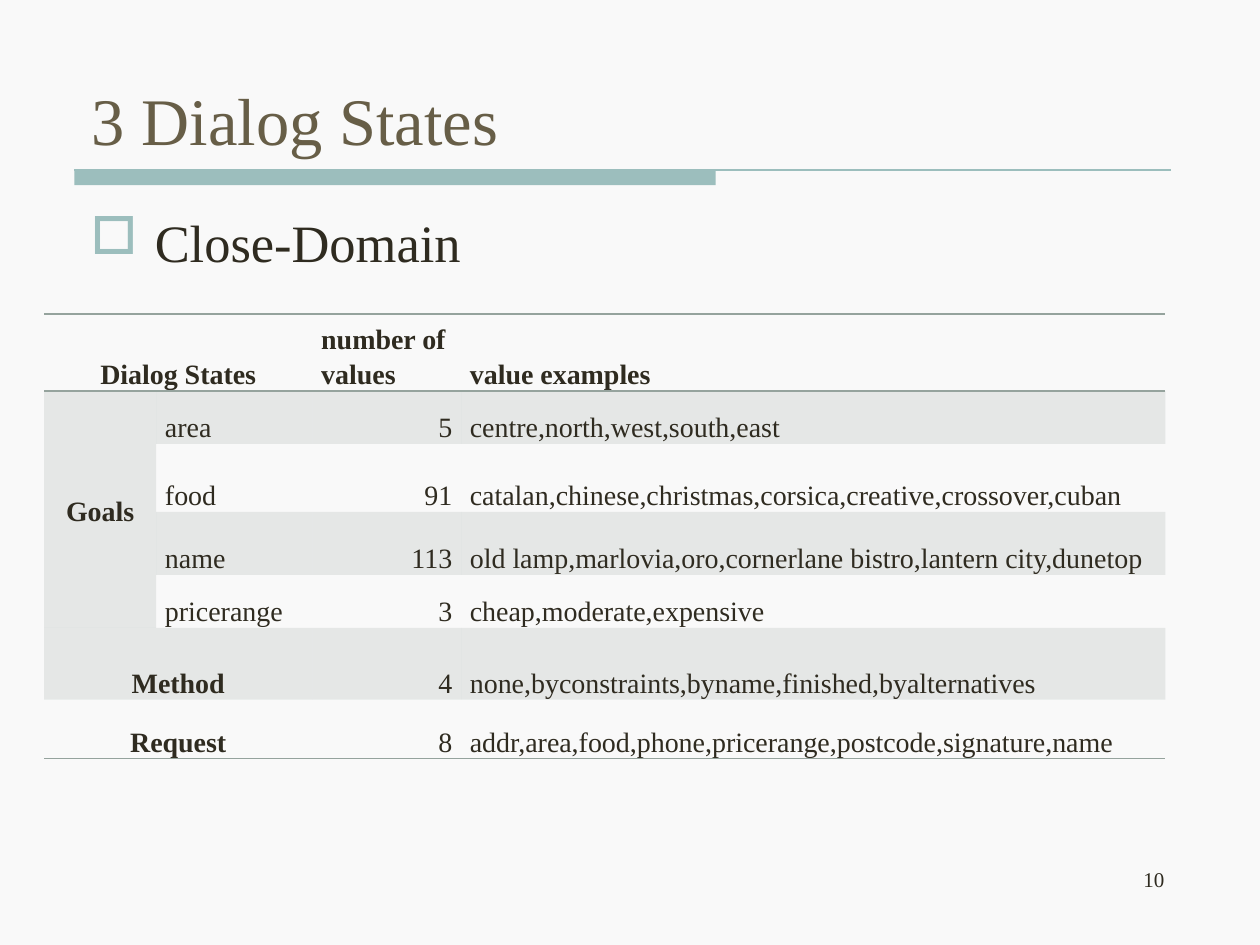
"""Build the slide listing the close-domain dialog states in a table."""
from typing import NamedTuple

from lxml import etree
from pptx import Presentation
from pptx import util as u
from pptx.dml.color import RGBColor
from pptx.enum import shapes, text
from pptx.oxml.ns import qn

FONT = "Times New Roman"
INK, TITLE, ACCENT, RULE = "2F2B20", "675E47", "9CBEBD", "95A39D"
NO_STYLE = "{2D5ABB26-0587-4C30-8999-92F81FD0307C}"
COLUMN_WIDTHS = (0.89, 1.24, 1.18, 5.59)
LEFT, CENTER, RIGHT = text.PP_ALIGN.LEFT, text.PP_ALIGN.CENTER, text.PP_ALIGN.RIGHT


class StateRow(NamedTuple):
    height: float
    group: str
    slot: str
    count: str
    examples: str
    banded: bool = False


ROWS = (
    StateRow(0.53, "Dialog States", "", "number of values", "value examples"),
    StateRow(0.42, "Goals", "area", "5", "centre,north,west,south,east", True),
    StateRow(0.54, "", "food", "91",
             "catalan,chinese,christmas,corsica,creative,crossover,cuban"),
    StateRow(0.50, "", "name", "113",
             "old lamp,marlovia,oro,cornerlane bistro,lantern city,dunetop", True),
    StateRow(0.42, "", "pricerange", "3", "cheap,moderate,expensive"),
    StateRow(0.57, "Method", "", "4",
             "none,byconstraints,byname,finished,byalternatives", True),
    StateRow(0.47, "Request", "", "8",
             "addr,area,food,phone,pricerange,postcode,signature,name"),
)
GOAL_ROWS = range(1, 5)
BORDERS = {0: ("lnT", "lnB"), len(ROWS) - 1: ("lnB",)}


def color(value: str) -> RGBColor:
    """Turn a hex string into a colour."""
    return RGBColor.from_string(value)


def write(frame, wording: str, size: float, ink: str = INK, align=LEFT, bold=False):
    """Write one formatted paragraph and return it."""
    frame.word_wrap = True
    paragraph = frame.paragraphs[0]
    paragraph.text = wording
    paragraph.alignment = align
    font = paragraph.font
    font.name, font.size, font.bold = FONT, u.Pt(size), bold
    font.color.rgb = color(ink)
    return paragraph


def add_text(slide, left: float, top: float, width: float, height: float,
             wording: str, size: float, align=LEFT):
    """Add a text box and return its paragraph."""
    box = slide.shapes.add_textbox(*map(u.Inches, (left, top, width, height)))
    return write(box.text_frame, wording, size, align=align)


def add_bullet(paragraph, mark: str, indent: float) -> None:
    """Give a paragraph a coloured bullet with a hanging indent."""
    properties = paragraph._p.get_or_add_pPr()
    properties.set("marL", str(u.Inches(indent)))
    properties.set("indent", str(-u.Inches(indent)))
    bullet_color = etree.SubElement(properties, qn("a:buClr"))
    etree.SubElement(bullet_color, qn("a:srgbClr"), val=ACCENT)
    etree.SubElement(properties, qn("a:buChar"), char=mark)


def add_title_rule(slide) -> None:
    """Draw the thick bar and the thin line below the title."""
    left, top = u.Inches(0.59), u.Inches(1.35)
    line = slide.shapes.add_connector(
        shapes.MSO_CONNECTOR.STRAIGHT, left, top, u.Inches(9.29), top)
    line.line.color.rgb = color(ACCENT)
    line.line.width = u.Pt(0.75)
    etree.SubElement(line._element.spPr, qn("a:effectLst"))
    bar = slide.shapes.add_shape(
        shapes.MSO_SHAPE.RECTANGLE, left, top, u.Inches(5.09), u.Inches(0.12))
    bar.shadow.inherit = False
    bar.fill.solid()
    bar.fill.fore_color.rgb = color(ACCENT)
    bar.line.fill.background()


def style_cell(cell, tinted: bool, borders: tuple[str, ...]) -> None:
    """Set the margins, fill and borders of a cell."""
    cell.margin_left = cell.margin_right = u.Inches(0.07)
    cell.margin_top = cell.margin_bottom = 0
    cell.vertical_anchor = text.MSO_ANCHOR.BOTTOM
    properties = cell._tc.get_or_add_tcPr()
    if tinted:
        cell.fill.solid()
        cell.fill.fore_color.rgb = color(RULE)
        tint = properties.find(".//" + qn("a:srgbClr"))
        etree.SubElement(tint, qn("a:alpha"), val="20000")
    else:
        cell.fill.background()
    for position, side in enumerate(borders):
        border = etree.Element(qn(f"a:{side}"), w=str(u.Pt(1)))
        fill = etree.SubElement(border, qn("a:solidFill"))
        etree.SubElement(fill, qn("a:srgbClr"), val=RULE)
        properties.insert(position, border)


def add_state_table(slide) -> None:
    """Add the table of dialog states."""
    frame = slide.shapes.add_table(
        len(ROWS), len(COLUMN_WIDTHS), u.Inches(0.35), u.Inches(2.49),
        u.Inches(sum(COLUMN_WIDTHS)), u.Inches(sum(row.height for row in ROWS)))
    table = frame.table
    table.first_row = table.horz_banding = False
    table._tbl.tblPr.find(qn("a:tableStyleId")).text = NO_STYLE
    for column, width in zip(table.columns, COLUMN_WIDTHS):
        column.width = u.Inches(width)
    for i, row in enumerate(ROWS):
        table.rows[i].height = u.Inches(row.height)
        aligns = (CENTER, LEFT, RIGHT if i else LEFT, LEFT)
        for j, wording in enumerate((row.group, row.slot, row.count, row.examples)):
            cell = table.cell(i, j)
            tinted = row.banded or (j == 0 and i in GOAL_ROWS)
            style_cell(cell, tinted, BORDERS.get(i, ()))
            if wording:
                paragraph = write(cell.text_frame, wording, 16, align=aligns[j],
                                  bold=i == 0 or j == 0)
                paragraph.line_spacing = 1.15
        if i not in GOAL_ROWS:
            table.cell(i, 0).merge(table.cell(i, 1))
    goals = table.cell(GOAL_ROWS[0], 0)
    goals.merge(table.cell(GOAL_ROWS[-1], 0))
    goals.vertical_anchor = text.MSO_ANCHOR.MIDDLE


def main() -> None:
    """Build and save the presentation."""
    presentation = Presentation()
    presentation.slide_width, presentation.slide_height = u.Inches(10), u.Inches(7.5)
    slide = presentation.slides.add_slide(presentation.slide_layouts[5])
    slide.background.fill.solid()
    slide.background.fill.fore_color.rgb = color("F9F9F9")
    add_title_rule(slide)
    title = slide.shapes.title
    title.left, title.top, title.width, title.height = map(
        u.Inches, (0.63, 0.33, 8.75, 0.98))
    title.text_frame.vertical_anchor = text.MSO_ANCHOR.BOTTOM
    title.text_frame.auto_size = text.MSO_AUTO_SIZE.NONE
    write(title.text_frame, "3 Dialog States", 38, TITLE)
    topic = add_text(slide, 0.62, 1.62, 8.75, 0.75, "Close-Domain", 30)
    topic.space_before = u.Pt(6)
    add_bullet(topic, "□", 0.51)
    add_text(slide, 7.17, 6.83, 2.17, 0.52, "10", 12, RIGHT)
    add_state_table(slide)
    presentation.save("out.pptx")


if __name__ == "__main__":
    main()
